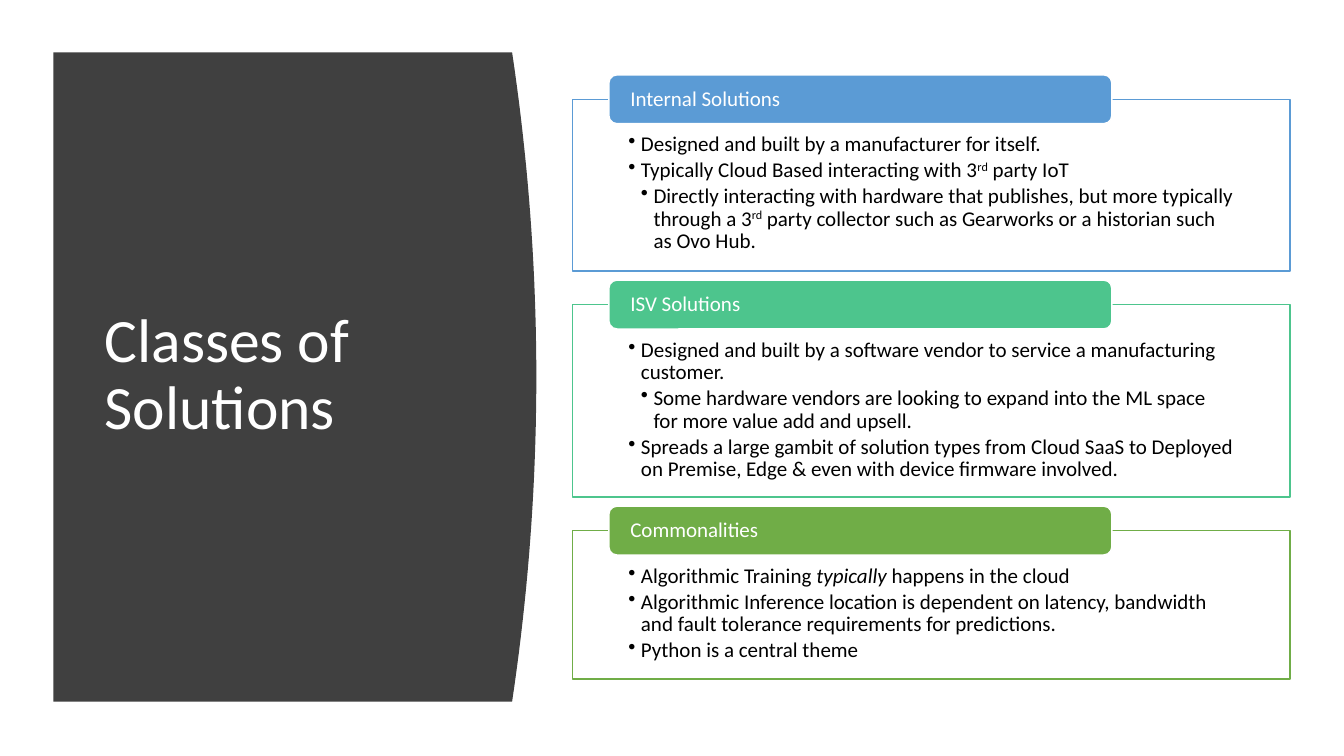
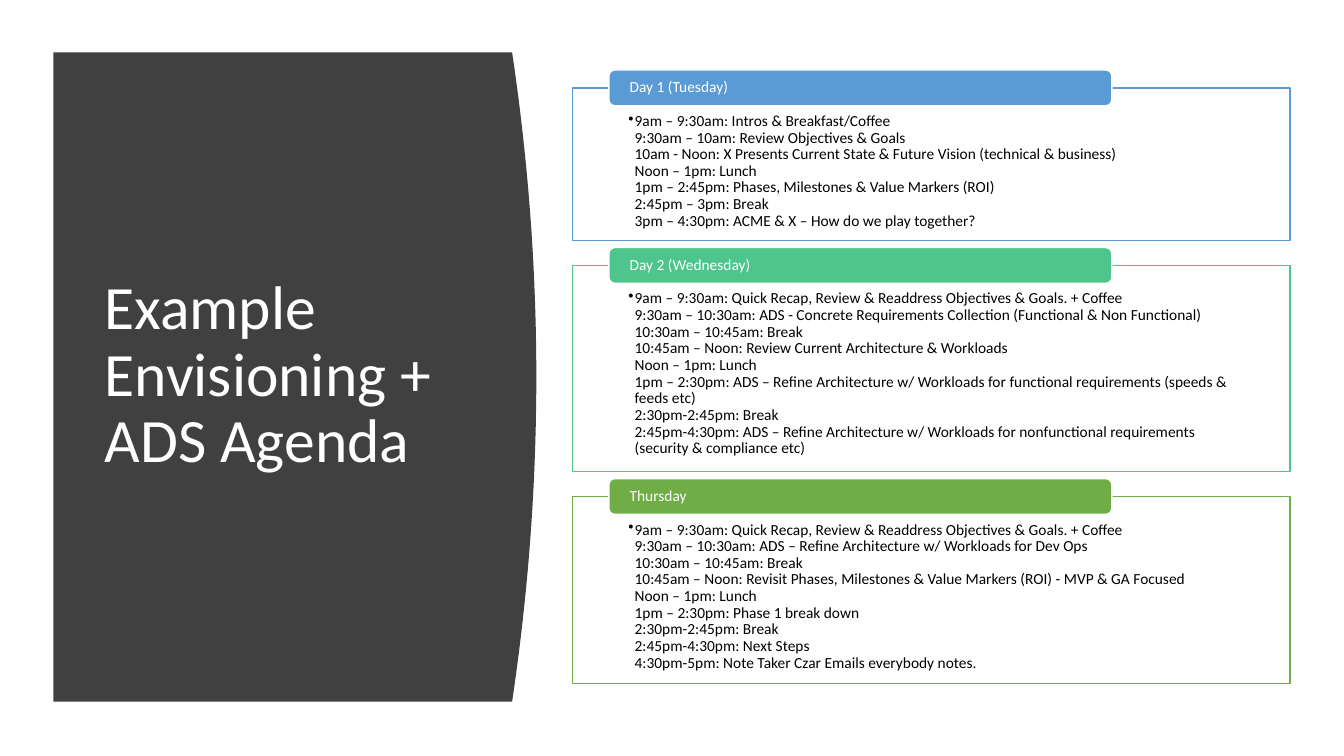
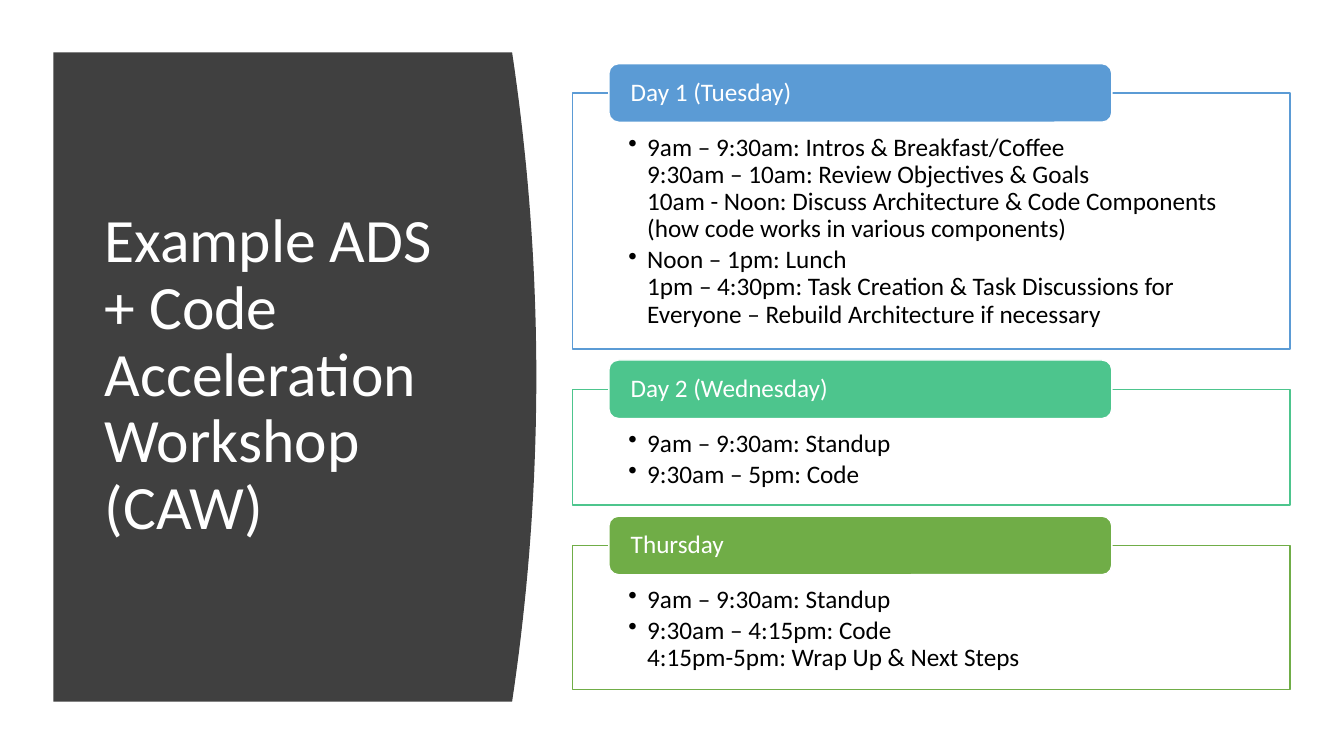
"""Build three slides, each with a curved title panel and a stack of labelled boxes."""
from lxml import etree
from pptx import Presentation
from pptx import util as u
from pptx.dml.color import RGBColor
from pptx.enum import shapes, text
from pptx.oxml.ns import qn

rgb = RGBColor.from_string
Pt = u.Pt

FONT = "Calibri"
DARK, WHITE, BLACK = "404040", "FFFFFF", "000000"
ACCENTS = ["5B9BD5", "4DC58D", "70AD47"]
PANEL_L, PANEL_R, PANEL_T, PANEL_B, BULGE, STEPS = 38.2, 365.8, 37.4, 501.2, 17.3, 40
BOX_L, BOX_W = 409, 512.6
TAB_L, TAB_W = 434.9, 359.3

SUP = {"baseline": 30000}
ITALIC = {"italic": True}

SLIDES = [
    dict(title="Classes of Solutions", size=15, indent=9, top=53.5, boxes=[
        ("Internal Solutions", 122.6, [
            (1, ["Designed and built by a manufacturer for itself."]),
            (1, ["Typically Cloud Based interacting with 3", ("rd", SUP), " party IoT"]),
            (2, ["Directly interacting with hardware that publishes, but more typically through a 3",
                 ("rd", SUP),
                 " party collector such as Gearworks or a historian such as Ovo Hub."]),
        ]),
        ("ISV Solutions", 137.4, [
            (1, ["Designed and built by a software vendor to service a manufacturing customer."]),
            (2, ["Some hardware vendors are looking to expand into the ML space "
                 "for more value add and upsell."]),
            (1, ["Spreads a large gambit of solution types from Cloud SaaS to Deployed "
                 "on Premise, Edge & even with device firmware involved."]),
        ]),
        ("Commonalities", 106, [
            (1, ["Algorithmic Training ", ("typically", ITALIC), " happens in the cloud"]),
            (1, ["Algorithmic Inference location is dependent on latency, bandwidth "
                 "and fault tolerance requirements for predictions."]),
            (1, ["Python is a central theme"]),
        ]),
    ]),
    dict(title="Example Envisioning + ADS Agenda", size=11, indent=4.5, top=50, boxes=[
        ("Day 1 (Tuesday)", 109.2, [
            (1, ["""9am – 9:30am: Intros & Breakfast/Coffee
9:30am – 10am: Review Objectives & Goals
10am - Noon: X Presents Current State & Future Vision (technical & business)
Noon – 1pm: Lunch
1pm – 2:45pm: Phases, Milestones & Value Markers (ROI)
2:45pm – 3pm: Break
3pm – 4:30pm: ACME & X – How do we play together?"""]),
        ]),
        ("Day 2 (Wednesday)", 147.4, [
            (1, ["""9am – 9:30am: Quick Recap, Review & Readdress Objectives & Goals. + Coffee
9:30am – 10:30am: ADS - Concrete Requirements Collection (Functional & Non Functional)
10:30am – 10:45am: Break
10:45am – Noon: Review Current Architecture & Workloads
Noon – 1pm: Lunch
1pm – 2:30pm: ADS – Refine Architecture w/ Workloads for functional requirements (speeds & feeds etc)
2:30pm-2:45pm: Break
2:45pm-4:30pm: ADS – Refine Architecture w/ Workloads for nonfunctional requirements (security & compliance etc)"""]),
        ]),
        ("Thursday", 133.8, [
            (1, ["""9am – 9:30am: Quick Recap, Review & Readdress Objectives & Goals. + Coffee
9:30am – 10:30am: ADS – Refine Architecture w/ Workloads for Dev Ops
10:30am – 10:45am: Break
10:45am – Noon: Revisit Phases, Milestones & Value Markers (ROI) - MVP & GA Focused
Noon – 1pm: Lunch
1pm – 2:30pm: Phase 1 break down
2:30pm-2:45pm: Break
2:45pm-4:30pm: Next Steps
4:30pm-5pm: Note Taker Czar Emails everybody notes."""]),
        ]),
    ]),
    dict(title="Example ADS + Code Acceleration Workshop (CAW)", size=18, indent=13.5, top=45.5, boxes=[
        ("Day 1 (Tuesday)", 182.8, [
            (1, ["""9am – 9:30am: Intros & Breakfast/Coffee
9:30am – 10am: Review Objectives & Goals
10am - Noon: Discuss Architecture & Code Components (how code works in various components)"""]),
            (1, ["""Noon – 1pm: Lunch
1pm – 4:30pm: Task Creation & Task Discussions for Everyone – Rebuild Architecture if necessary"""]),
        ]),
        ("Day 2 (Wednesday)", 82.7, [
            (1, ["9am – 9:30am: Standup"]),
            (1, ["9:30am – 5pm: Code"]),
        ]),
        ("Thursday", 103, [
            (1, ["9am – 9:30am: Standup"]),
            (1, ["""9:30am – 4:15pm: Code
4:15pm-5pm: Wrap Up & Next Steps"""]),
        ]),
    ]),
]


def put(p, words, size, color, italic=None, baseline=None):
    p.alignment = text.PP_ALIGN.LEFT
    p.line_spacing = 0.9
    for i, line in enumerate(words.split("\n")):
        if i:
            p.add_line_break()
        r = p.add_run()
        r.text = line
        r.font.name, r.font.size, r.font.italic = FONT, Pt(size), italic
        r.font.color.rgb = rgb(color)
        if baseline:
            r.font._element.set("baseline", str(baseline))


def style(sp, fill, line, anchor, insets):
    sp.shadow.inherit = False
    sp.fill.solid()
    sp.fill.fore_color.rgb = rgb(fill)
    sp.line.color.rgb = rgb(line)
    sp.line.width = Pt(1)
    tf = sp.text_frame
    tf.word_wrap = True
    tf.vertical_anchor = anchor
    tf.margin_left, tf.margin_top, tf.margin_right, tf.margin_bottom = map(Pt, insets)
    return tf


prs = Presentation()
prs.slide_width, prs.slide_height = Pt(960), Pt(540)

for page in SLIDES:
    s = prs.slides.add_slide(prs.slide_layouts[6])
    size, indent = page["size"], page["indent"]

    curve = []
    for i in range(STEPS + 1):
        t = i / STEPS
        curve.append((Pt(PANEL_R + BULGE * 4 * t * (1 - t)), Pt(PANEL_T + (PANEL_B - PANEL_T) * t)))
    fb = s.shapes.build_freeform(Pt(PANEL_L), Pt(PANEL_T))
    fb.add_line_segments(curve + [(Pt(PANEL_L), Pt(PANEL_B))], close=True)
    panel = fb.convert_to_shape()
    panel.shadow.inherit = False
    panel.fill.solid()
    panel.fill.fore_color.rgb = rgb(DARK)
    panel.line.fill.background()

    tf = s.shapes.add_textbox(Pt(67.7), Pt(80), Pt(269.3), Pt(377.3)).text_frame
    tf.word_wrap = True
    tf.vertical_anchor = text.MSO_ANCHOR.MIDDLE
    put(tf.paragraphs[0], page["title"], size=44, color=WHITE)

    tab_h, gap, top = 2.325 * size, 0.44 * size, page["top"]
    for accent, (label, box_h, items) in zip(ACCENTS, page["boxes"]):
        box_top = top + tab_h / 2
        box = s.shapes.add_shape(shapes.MSO_SHAPE.RECTANGLE,
                                 Pt(BOX_L), Pt(box_top), Pt(BOX_W), Pt(box_h))
        tf = style(box, WHITE, accent, text.MSO_ANCHOR.TOP,
                   (39.8, 1.64 * size, 39.8, 0.56 * size))
        clr = box._element.spPr.find(qn("a:solidFill")).find(qn("a:srgbClr"))
        etree.SubElement(clr, qn("a:alpha"), val="90000")
        for i, (level, runs) in enumerate(items):
            p = tf.add_paragraph() if i else tf.paragraphs[0]
            p.space_after = Pt(0.15 * size)
            pPr = p._p.get_or_add_pPr()
            pPr.set("marL", str(Pt(level * indent)))
            pPr.set("indent", str(-Pt(indent)))
            etree.SubElement(pPr, qn("a:buChar"), char="•")
            for run in runs:
                words, fmt = (run, {}) if isinstance(run, str) else run
                put(p, words, size=size, color=BLACK, **fmt)

        tab = s.shapes.add_shape(shapes.MSO_SHAPE.ROUNDED_RECTANGLE,
                                 Pt(TAB_L), Pt(top), Pt(TAB_W), Pt(tab_h))
        tf = style(tab, accent, WHITE, text.MSO_ANCHOR.MIDDLE, (13.6, 0, 13.6, 0))
        put(tf.paragraphs[0], label, size=size, color=WHITE)
        top = box_top + box_h + gap

prs.save("out.pptx")
